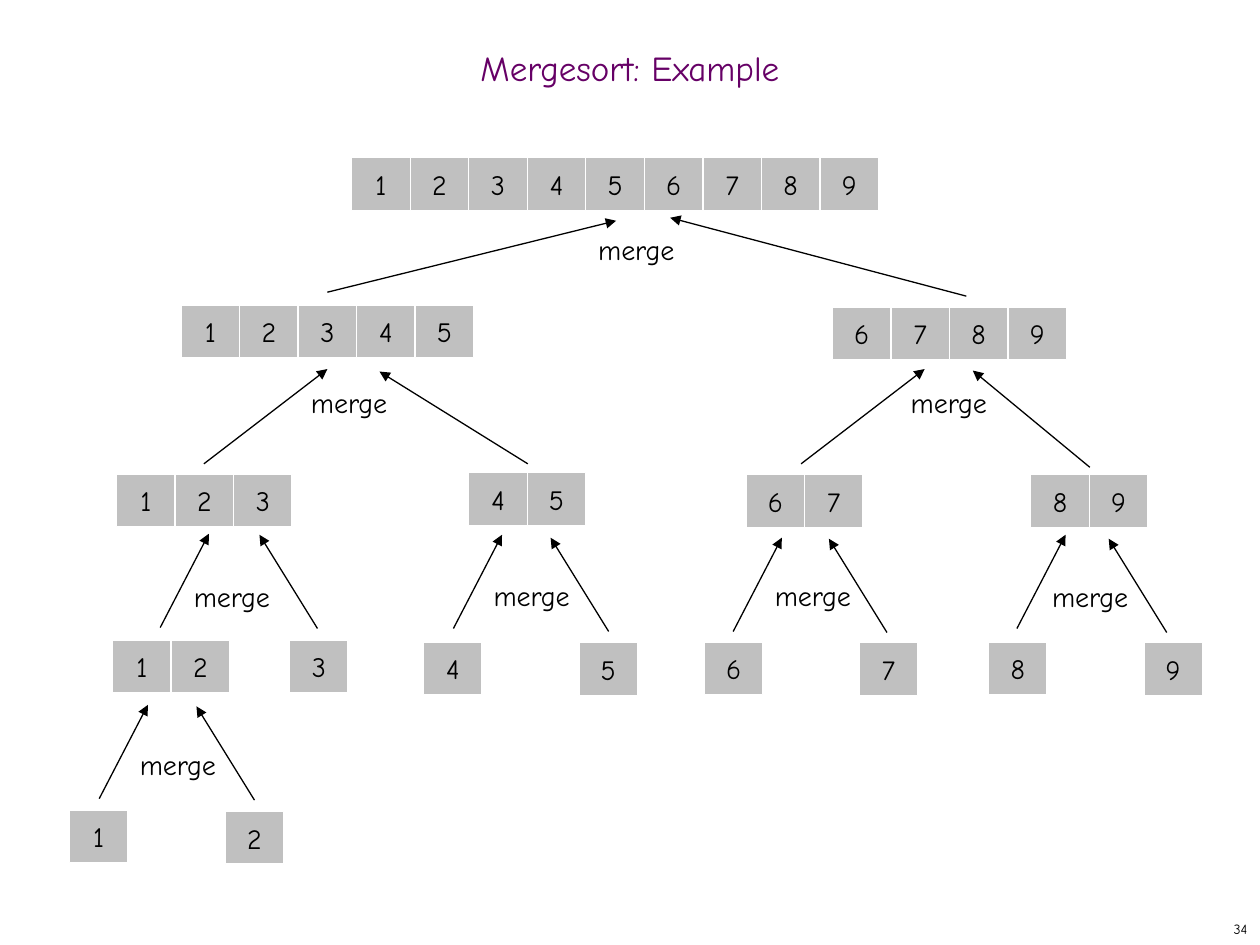
from lxml import etree
from pptx import Presentation
from pptx.dml.color import RGBColor
from pptx.enum.shapes import MSO_CONNECTOR as Connector, MSO_SHAPE as Shape
from pptx.enum.text import MSO_ANCHOR as Anchor, MSO_AUTO_SIZE as AutoSize, PP_ALIGN as Align
from pptx.oxml.ns import qn
from pptx.util import Cm, Pt

THEME = {
    "font": "Comic Neue",
    "ink": RGBColor(0x00, 0x00, 0x00),
    "title": RGBColor(0x66, 0x00, 0x66),
    "cell": RGBColor(0xC0, 0xC0, 0xC0),
    "edge": RGBColor(0xFF, 0xFF, 0xFF),
    "title_size": Pt(20),
    "body_size": Pt(16),
    "number_size": Pt(8),
    "line_width": Pt(0.75),
}
CELL_WIDTH, CELL_HEIGHT = 1.18, 1.06


def write(box, text, size="body_size", color="ink", align=Align.CENTER, **frame_format):
    """Put one styled line of text into a shape."""
    frame = box.text_frame
    settings = {"word_wrap": False, "vertical_anchor": Anchor.MIDDLE} | frame_format
    for name, value in settings.items():
        setattr(frame, name, value)
    para = frame.paragraphs[0]
    para.alignment = align
    span = para.add_run()
    span.text = text
    font_format = {"name": THEME["font"], "size": THEME[size], "bold": False}
    for name, value in font_format.items():
        setattr(span.font, name, value)
    span.font.color.rgb = THEME[color]
    return para


deck = Presentation()
deck.slide_width, deck.slide_height = Cm(25.4), Cm(19.05)
page = deck.slides.add_slide(deck.slide_layouts[5])

# Title
title = page.shapes.title
title_place = {"left": Cm(0), "top": Cm(0.84), "width": Cm(25.4), "height": Cm(1.27)}
for name, value in title_place.items():
    setattr(title, name, value)
heading = write(title, "Mergesort: Example", "title_size", "title",
                word_wrap=True, auto_size=AutoSize.NONE)
heading.line_spacing = 0.7

# Page number
number = page.shapes.add_textbox(Cm(20.12), Cm(18.42), Cm(5.28), Cm(0.63))
write(number, "34", "number_size", align=Align.RIGHT)

# Sorted arrays: digits, left, top
ARRAYS = [
    ("123456789", 7.09, 3.18),
    ("12345", 3.65, 6.15), ("6789", 16.78, 6.19),
    ("123", 2.35, 9.56), ("45", 9.45, 9.53), ("67", 15.04, 9.57), ("89", 20.78, 9.57),
    ("12", 2.27, 12.91), ("3", 5.84, 12.91), ("4", 8.54, 12.94), ("5", 11.67, 12.96),
    ("6", 14.2, 12.94), ("7", 17.32, 12.96), ("8", 19.93, 12.94), ("9", 23.06, 12.96),
    ("1", 1.4, 16.33), ("2", 4.54, 16.36),
]
for digits, left, top in ARRAYS:
    for index, digit in enumerate(digits):
        cell = page.shapes.add_shape(Shape.RECTANGLE, Cm(left + index * CELL_WIDTH), Cm(top),
                                     Cm(CELL_WIDTH), Cm(CELL_HEIGHT))
        cell.shadow.inherit = False
        cell.fill.solid()
        cell.fill.fore_color.rgb = THEME["cell"]
        cell.line.color.rgb = THEME["edge"]
        cell.line.width = THEME["line_width"]
        write(cell, digit)

# Arrows of the upper levels: start x, start y, end x, end y
arrows = [
    (6.6, 5.89, 12.42, 4.45), (19.48, 5.97, 13.51, 4.39),
    (4.11, 9.35, 6.6, 7.44), (10.64, 9.35, 7.65, 7.49),
    (16.15, 9.35, 18.64, 7.44), (21.97, 9.42, 19.61, 7.47),
]
# Arrows of the lower levels share one rise and a run per side
RISE = 1.89
LOWER_STARTS = {
    0.98: [(3.23, 12.65), (9.14, 12.67), (14.78, 12.73), (20.5, 12.67), (2.0, 16.1)],
    -1.17: [(6.4, 12.67), (12.27, 12.73), (17.88, 12.75), (23.52, 12.75), (5.13, 16.13)],
}
for run, starts in LOWER_STARTS.items():
    arrows += [(x, y, x + run, y - RISE) for x, y in starts]

for ends in arrows:
    arrow = page.shapes.add_connector(Connector.STRAIGHT, *map(Cm, ends))
    arrow.line.color.rgb = THEME["ink"]
    arrow.line.width = THEME["line_width"]
    etree.SubElement(arrow.line._get_or_add_ln(), qn("a:tailEnd"), type="triangle")
    etree.SubElement(arrow._element.spPr, qn("a:effectLst"))

# Merge labels: left, top
LABELS = [
    (11.81, 4.57), (6.02, 7.65), (18.11, 7.65),
    (3.66, 11.56), (9.7, 11.53), (15.37, 11.53), (20.96, 11.56), (2.57, 14.94),
]
for left, top in LABELS:
    label = page.shapes.add_textbox(Cm(left), Cm(top), Cm(2.16), Cm(0.94))
    write(label, "merge", align=Align.LEFT, vertical_anchor=Anchor.TOP,
          auto_size=AutoSize.SHAPE_TO_FIT_TEXT)

deck.save("out.pptx")
